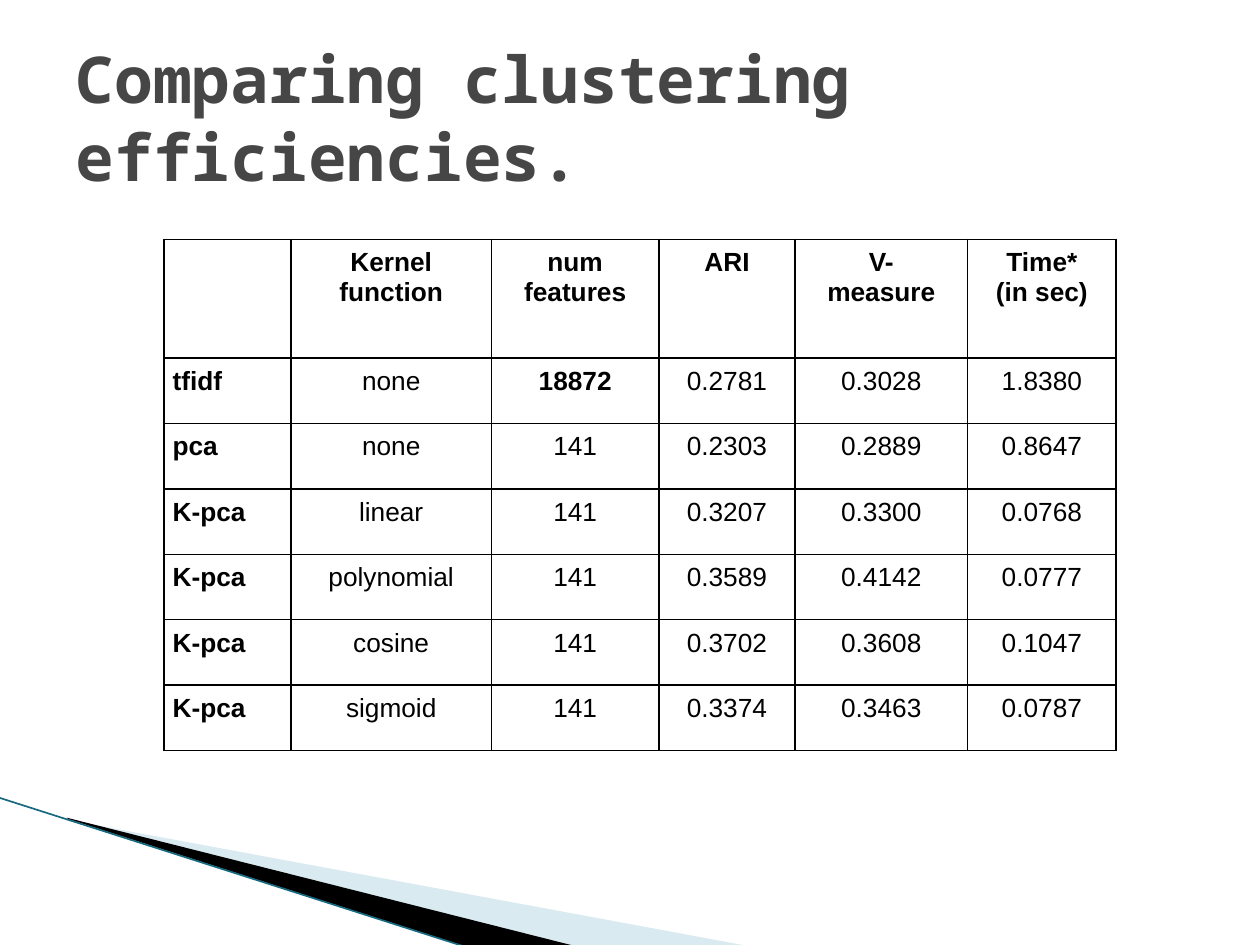
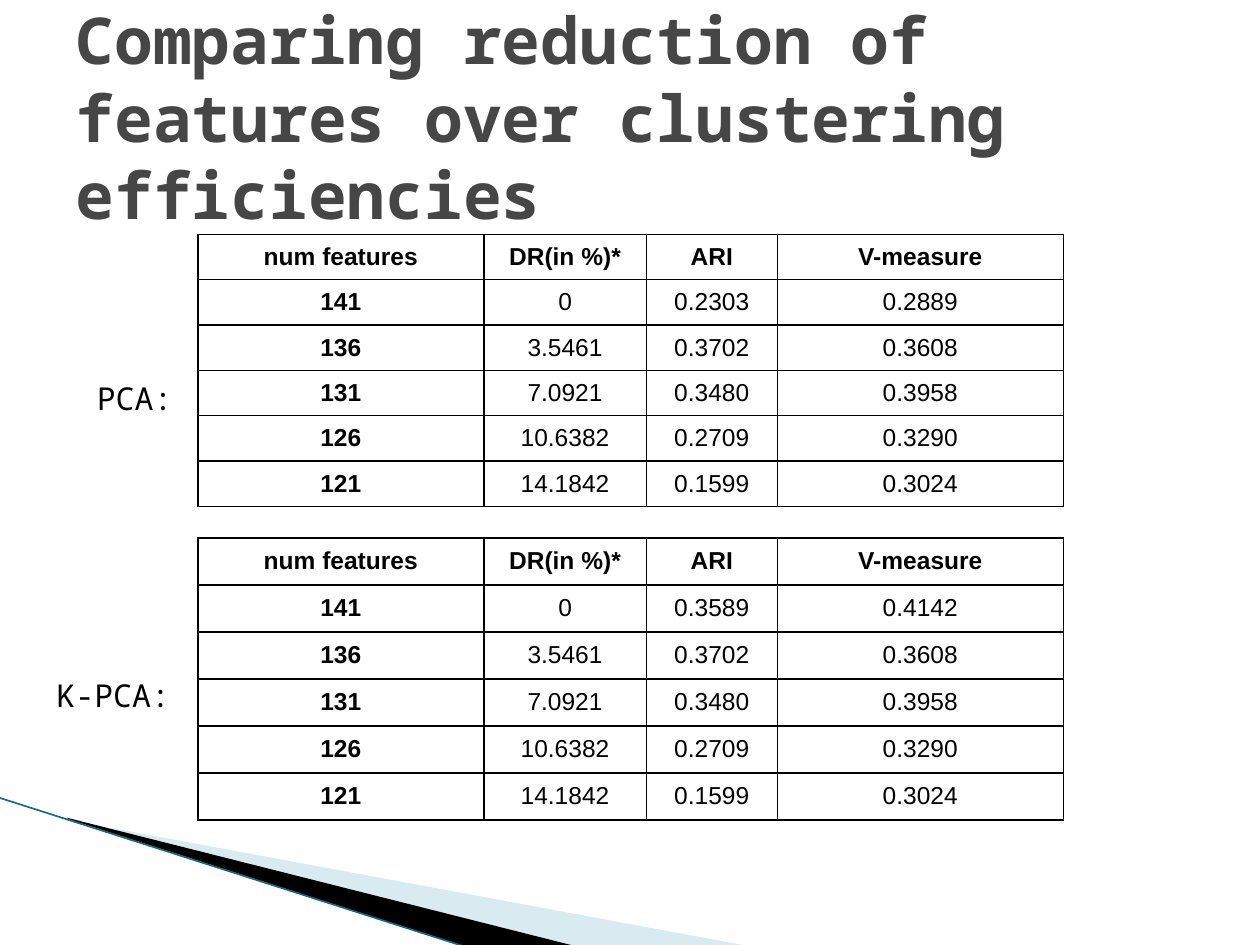
from pptx import Presentation
from pptx.dml.color import RGBColor
from pptx.enum.text import MSO_ANCHOR, MSO_AUTO_SIZE, PP_ALIGN
from pptx.enum.shapes import MSO_CONNECTOR
from pptx.oxml import parse_xml
from pptx.oxml.ns import nsdecls, qn
from pptx.util import Inches, Pt
from lxml.etree import SubElement

INK = "000000"
MONO = "Noto Sans Mono"
HEAD = {"name": MONO, "size": Pt(36.9), "bold": True}
BODY = {"name": MONO, "size": Pt(18), "bold": False}
FRAME = {"word_wrap": True, "auto_size": MSO_AUTO_SIZE.NONE,
         "vertical_anchor": MSO_ANCHOR.MIDDLE}
NOTE = {"word_wrap": True, "auto_size": MSO_AUTO_SIZE.SHAPE_TO_FIT_TEXT}
PAD = {"margin_" + side: Inches(0.07)
       for side in ("left", "right", "top", "bottom")}
PALE = [(0.55, 6.51), (5.95, 7.51), (4.56, 7.51), (0.55, 6.5)]
DARK = [(0.53, 6.49), (4.57, 7.51), (3.72, 7.52), (0.54, 6.5)]


def color(code):
    return RGBColor.from_string(code)


def apply(item, style):
    for key, value in style.items():
        setattr(item, key, value)


class Deck:
    def __init__(self):
        self.file = Presentation()
        apply(self.file, {"slide_width": Inches(10),
                          "slide_height": Inches(7.5)})
        self.slide = None

    def page(self, title):
        self.slide = self.file.slides.add_slide(self.file.slide_layouts[5])
        self.wedge(PALE, "A0CBDC", 40)
        self.wedge(DARK, INK)
        self.line((-0.01, 6.33), (3.71, 7.52), "17697F", 0.95)
        self.title(title)

    def place(self, shape, box):
        names = ("left", "top", "width", "height")
        apply(shape, dict(zip(names, map(Inches, box))))

    def words(self, frame, text, style, code, align=PP_ALIGN.LEFT):
        frame.text = text
        for para in frame.paragraphs:
            para.alignment = align
            for run in para.runs:
                apply(run.font, style)
                run.font.color.rgb = color(code)

    def title(self, text):
        shape = self.slide.shapes.title
        self.place(shape, (0.5, 0.3, 9, 1.25))
        apply(shape.text_frame, FRAME)
        self.words(shape.text_frame, text, HEAD, "464646")

    def label(self, text, box):
        shape = self.slide.shapes.add_textbox(*map(Inches, box))
        apply(shape.text_frame, NOTE)
        self.words(shape.text_frame, text, BODY, INK)

    def wedge(self, points, code, alpha=100):
        first, *rest = [tuple(map(Inches, point)) for point in points]
        pen = self.slide.shapes.build_freeform(*first)
        pen.add_line_segments(rest)
        shape = pen.convert_to_shape()
        shape.shadow.inherit = False
        shape.fill.solid()
        shape.fill.fore_color.rgb = color(code)
        shape.line.fill.background()
        if alpha < 100:
            tone = shape._element.spPr.find(".//" + qn("a:srgbClr"))
            SubElement(tone, qn("a:alpha"), val=str(alpha * 1000))

    def line(self, start, end, code, width):
        rule = self.slide.shapes.add_connector(
            MSO_CONNECTOR.STRAIGHT, *map(Inches, start + end))
        rule.line.color.rgb = color(code)
        rule.line.width = Pt(width)
        SubElement(rule._element.spPr, qn("a:effectLst"))

    def border(self, cell):
        props = cell._tc.get_or_add_tcPr()
        for spot, side in enumerate("LRTB"):
            props.insert(spot, parse_xml(
                f'<a:ln{side} {nsdecls("a")} w="12700"><a:solidFill>'
                f'<a:srgbClr val="{INK}"/></a:solidFill></a:ln{side}>'))

    def table(self, spot, wide, tall, rows, size, names=PP_ALIGN.CENTER,
              strong=()):
        box = spot + (sum(wide), sum(tall))
        grid = self.slide.shapes.add_table(
            len(rows), len(wide), *map(Inches, box)).table
        for col, width in zip(grid.columns, wide):
            col.width = Inches(width)
        for row, height in zip(grid.rows, tall):
            row.height = Inches(height)
        for r, row in enumerate(rows):
            for c, text in enumerate(row):
                cell = grid.cell(r, c)
                apply(cell, PAD)
                cell.fill.background()
                self.border(cell)
                bold = r == 0 or c == 0 or text in strong
                style = {"name": "Arial", "size": Pt(size), "bold": bold}
                align = PP_ALIGN.CENTER if c else names
                self.words(cell.text_frame, text, style, INK, align)


deck = Deck()
deck.page("Comparing clustering efficiencies.")
deck.table(
    (1.3, 1.9), [1.01, 1.59, 1.33, 1.08, 1.37, 1.18], [0.94] + [0.52] * 6, [
        ("", "Kernel function", "num features", "ARI", "V-\nmeasure",
         "Time*\n(in sec)"),
        ("tfidf", "none", "18872", "0.2781", "0.3028", "1.8380"),
        ("pca", "none", "141", "0.2303", "0.2889", "0.8647"),
        ("K-pca", "linear", "141", "0.3207", "0.3300", "0.0768"),
        ("K-pca", "polynomial", "141", "0.3589", "0.4142", "0.0777"),
        ("K-pca", "cosine", "141", "0.3702", "0.3608", "0.1047"),
        ("K-pca", "sigmoid", "141", "0.3374", "0.3463", "0.0787"),
    ], 15, PP_ALIGN.LEFT, ("18872",))

deck.page("Comparing reduction of features over clustering efficiencies")
TOP = ("num features", "DR(in %)*", "ARI", "V-measure")
REST = [
    ("136", "3.5461", "0.3702", "0.3608"),
    ("131", "7.0921", "0.3480", "0.3958"),
    ("126", "10.6382", "0.2709", "0.3290"),
    ("121", "14.1842", "0.1599", "0.3024"),
]
for name, box, top, tall, base in (
        ("PCA:", (0.67, 2.96, 1.02, 0.4), 1.86, 0.36, ("0.2303", "0.2889")),
        ("K-PCA:", (0.35, 5.32, 1.21, 0.4), 4.27, 0.37,
         ("0.3589", "0.4142"))):
    rows = [TOP, ("141", "0") + base] + REST
    deck.table((1.57, top), [2.27, 1.29, 1.04, 2.27], [tall] * len(rows),
               rows, 14)
    deck.label(name, box)

deck.file.save("out.pptx")
